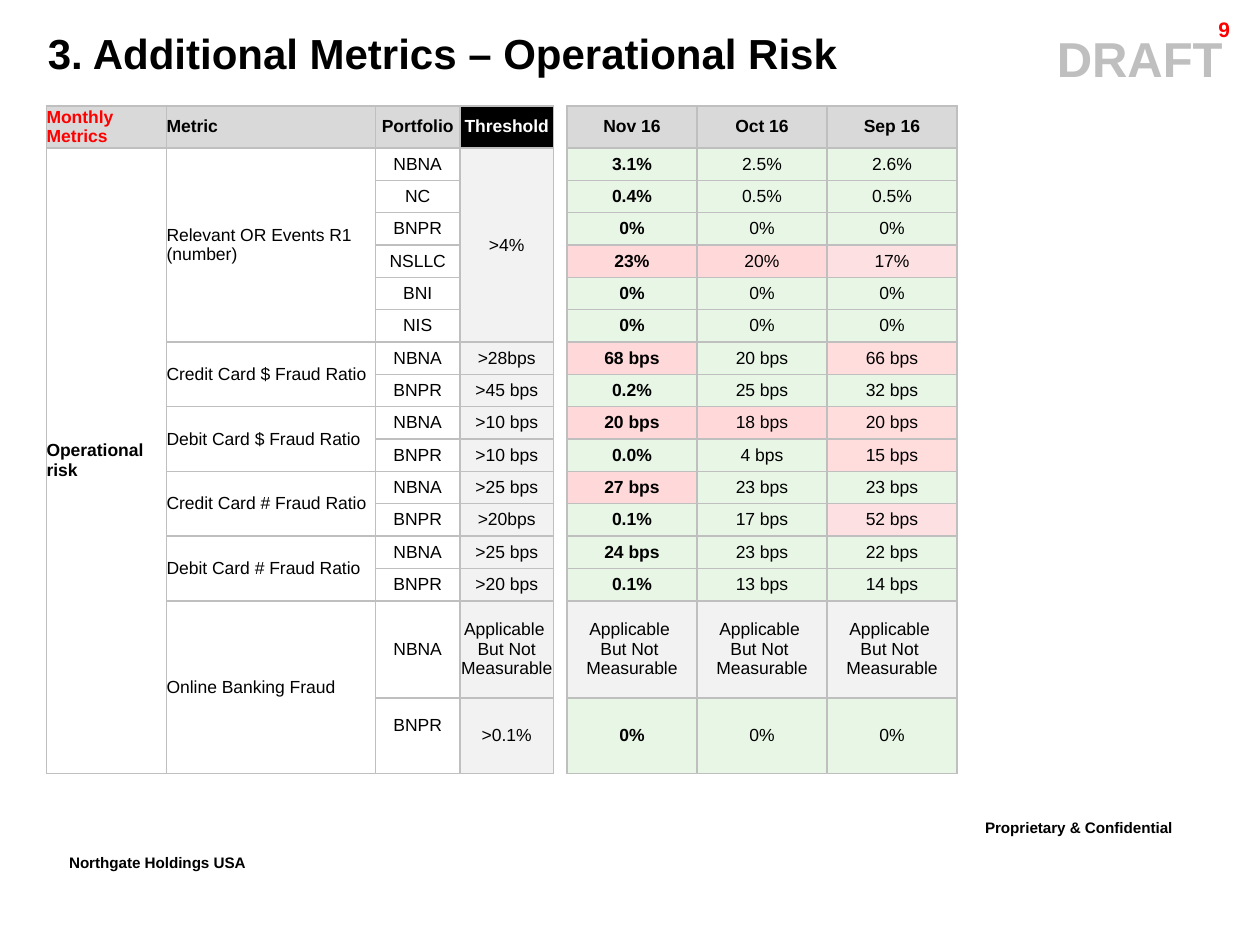
from lxml import etree
from pptx import Presentation
from pptx.dml.color import RGBColor
from pptx.enum.text import MSO_ANCHOR, MSO_AUTO_SIZE, PP_ALIGN
from pptx.oxml.ns import qn
from pptx.util import Pt

LEFT, CENTER, RIGHT = PP_ALIGN.LEFT, PP_ALIGN.CENTER, PP_ALIGN.RIGHT
MIDDLE = MSO_ANCHOR.MIDDLE
GROW = MSO_AUTO_SIZE.SHAPE_TO_FIT_TEXT

COLORS = {
    "black": "000000", "white": "FFFFFF", "red": "FF0000", "draft": "BFBFBF",
    "border": "BFBFBF", "header": "D9D9D9", "neutral": "F2F2F2",
    "g": "E8F6E6", "r": "FFD9D9", "p": "FFDDDD", "q": "FCE0E2", "n": "F2F2F2",
}
COLUMNS = [68.6, 119.4, 48.2, 53.5, 7.7, 74.3, 74.3, 74.3]
ROWS = [18.5] * 15 + [55.5, 43.2]
GAP, FIRST_MONTH = 4, 5
UNMEASURED = "Applicable \nBut Not \nMeasurable"
HEADERS = [
    ("Monthly Metrics", LEFT, "red", "header"),
    ("Metric", LEFT, "black", "header"),
    ("Portfolio", CENTER, "black", "header"),
    ("Threshold", CENTER, "white", "black"),
    ("", CENTER, "black", None),
    ("Nov 16", CENTER, "black", "header"),
    ("Oct 16", CENTER, "black", "header"),
    ("Sep 16", CENTER, "black", "header"),
]
METRICS = [
    ("Relevant OR Events R1 (number)", [
        ("NBNA", ">4%", ["3.1%", "2.5%", "2.6%"], "ggg"),
        ("NC", "", ["0.4%", "0.5%", "0.5%"], "ggg"),
        ("BNPR", "", ["0%", "0%", "0%"], "ggg"),
        ("NSLLC", "", ["23%", "20%", "17%"], "rrq"),
        ("BNI", "", ["0%", "0%", "0%"], "ggg"),
        ("NIS", "", ["0%", "0%", "0%"], "ggg"),
    ]),
    ("Credit Card $ Fraud Ratio", [
        ("NBNA", ">28bps", ["68 bps", "20 bps", "66 bps"], "rgp"),
        ("BNPR", ">45 bps", ["0.2%", "25 bps", "32 bps"], "ggg"),
    ]),
    ("Debit Card $ Fraud Ratio", [
        ("NBNA", ">10 bps", ["20 bps", "18 bps", "20 bps"], "rrp"),
        ("BNPR", ">10 bps", ["0.0%", "4 bps", "15 bps"], "ggp"),
    ]),
    ("Credit Card # Fraud Ratio", [
        ("NBNA", ">25 bps", ["27 bps", "23 bps", "23 bps"], "rgg"),
        ("BNPR", ">20bps", ["0.1%", "17 bps", "52 bps"], "ggq"),
    ]),
    ("Debit Card # Fraud Ratio", [
        ("NBNA", ">25 bps", ["24 bps", "23 bps", "22 bps"], "ggg"),
        ("BNPR", ">20 bps", ["0.1%", "13 bps", "14 bps"], "ggg"),
    ]),
    ("Online Banking Fraud", [
        ("NBNA", "Applicable \nBut Not Measurable", [UNMEASURED] * 3, "nnn"),
        ("BNPR", ">0.1%", ["0%", "0%", "0%"], "ggg"),
    ]),
]


def rgb(color):
    return RGBColor.from_string(COLORS[color])


def write(paragraph, text, size, color, bold, align):
    paragraph.alignment = align
    run = paragraph.add_run()
    run.text = text
    for attribute, value in {"name": "Arial", "size": Pt(size), "bold": bold}.items():
        setattr(run.font, attribute, value)
    run.font.color.rgb = rgb(color)
    return run


def add_label(slide, box, text, size, color="black", align=LEFT, grow=True, wrap=True,
              indent=0, line_spacing=None, raised=False):
    frame = slide.shapes.add_textbox(*map(Pt, box)).text_frame
    frame.word_wrap = wrap
    if grow:
        frame.auto_size = GROW
    paragraph = frame.paragraphs[0]
    paragraph.line_spacing = line_spacing
    run = write(paragraph, text, size, color, True, align)
    if indent:
        properties = paragraph._p.get_or_add_pPr()
        properties.set("marL", str(Pt(indent)))
        properties.set("indent", "0")
    if raised:
        run._r.get_or_add_rPr().set("baseline", "30000")


def set_borders(cell, visible):
    properties = cell._tc.get_or_add_tcPr()
    for position, side in enumerate("LRTB"):
        line = etree.Element(qn(f"a:ln{side}"), w=str(Pt(1)))
        if side in visible:
            fill = etree.SubElement(line, qn("a:solidFill"))
            etree.SubElement(fill, qn("a:srgbClr"), val=COLORS["border"])
        else:
            etree.SubElement(line, qn("a:noFill"))
        properties.insert(position, line)


def prepare_cell(cell, visible):
    for side in ("left", "right", "top", "bottom"):
        setattr(cell, f"margin_{side}", 0)
    cell.vertical_anchor = MIDDLE
    cell.fill.background()
    set_borders(cell, visible)
    etree.SubElement(cell.text_frame.paragraphs[0]._p, qn("a:endParaRPr"), sz="1000")


def fill_cell(cell, text, align=CENTER, color="black", fill=None, bold=False):
    if fill:
        cell.fill.solid()
        cell.fill.fore_color.rgb = rgb(fill)
    if not text:
        return
    lines = text.split("\n")
    frame = cell.text_frame
    for number, line in enumerate(lines):
        paragraph = frame.add_paragraph() if number else frame.paragraphs[0]
        if len(lines) == 1:
            paragraph.space_before = paragraph.space_after = Pt(2)
        write(paragraph, line, 10, color, bold, align)


def add_metrics_table(slide, box):
    table = slide.shapes.add_table(len(ROWS), len(COLUMNS), *map(Pt, box)).table
    table.first_row = table.horz_banding = False
    for column, width in zip(table.columns, COLUMNS):
        column.width = Pt(width)
    for row, height in zip(table.rows, ROWS):
        row.height = Pt(height)
        for index, cell in enumerate(row.cells):
            prepare_cell(cell, "LR" if index == GAP else "LRTB")

    for index, (text, align, color, fill) in enumerate(HEADERS):
        fill_cell(table.cell(0, index), text, align, color, fill, True)
    last = len(ROWS) - 1
    fill_cell(table.cell(1, 0), "Operational risk", LEFT, bold=True)
    table.cell(1, 0).merge(table.cell(last, 0))

    top = 1
    for metric, entries in METRICS:
        bottom = top + len(entries) - 1
        fill_cell(table.cell(top, 1), metric, LEFT)
        table.cell(top, 1).merge(table.cell(bottom, 1))
        for row, (portfolio, threshold, values, status) in enumerate(entries, top):
            fill_cell(table.cell(row, 2), portfolio)
            fill_cell(table.cell(row, 3), threshold, fill="neutral")
            for month, (value, fill) in enumerate(zip(values, status)):
                latest = month == 0 and value != UNMEASURED
                fill_cell(table.cell(row, FIRST_MONTH + month), value, fill=fill, bold=latest)
        if not entries[-1][1]:
            table.cell(top, 3).merge(table.cell(bottom, 3))
        top = bottom + 1
    table.cell(last, 2).margin_bottom = Pt(12)


def add_footer(slide):
    add_label(slide, (555.8, 462.2, 157, 25.2), "Proprietary & Confidential", 15, raised=True)
    add_label(slide, (32.4, 482.4, 137.5, 25.2), "Northgate Holdings USA", 15,
              wrap=False, raised=True)


def add_heading(slide):
    add_label(slide, (82.8, 13, 632.9, 41), "DRAFT", 28, "draft", CENTER, indent=504)
    add_label(slide, (641.5, 7.9, 68.4, 17.3), "9", 12, "red", RIGHT,
              grow=False, line_spacing=0.86)
    add_label(slide, (20.2, 12.2, 673.2, 36), "3. Additional Metrics – Operational Risk", 24)


def main():
    presentation = Presentation()
    presentation.slide_width, presentation.slide_height = Pt(720), Pt(540)
    slide = presentation.slides.add_slide(presentation.slide_layouts[6])
    add_footer(slide)
    add_heading(slide)
    add_metrics_table(slide, (26.6, 60.5, 520.3, 382.3))
    presentation.save("out.pptx")


if __name__ == "__main__":
    main()
